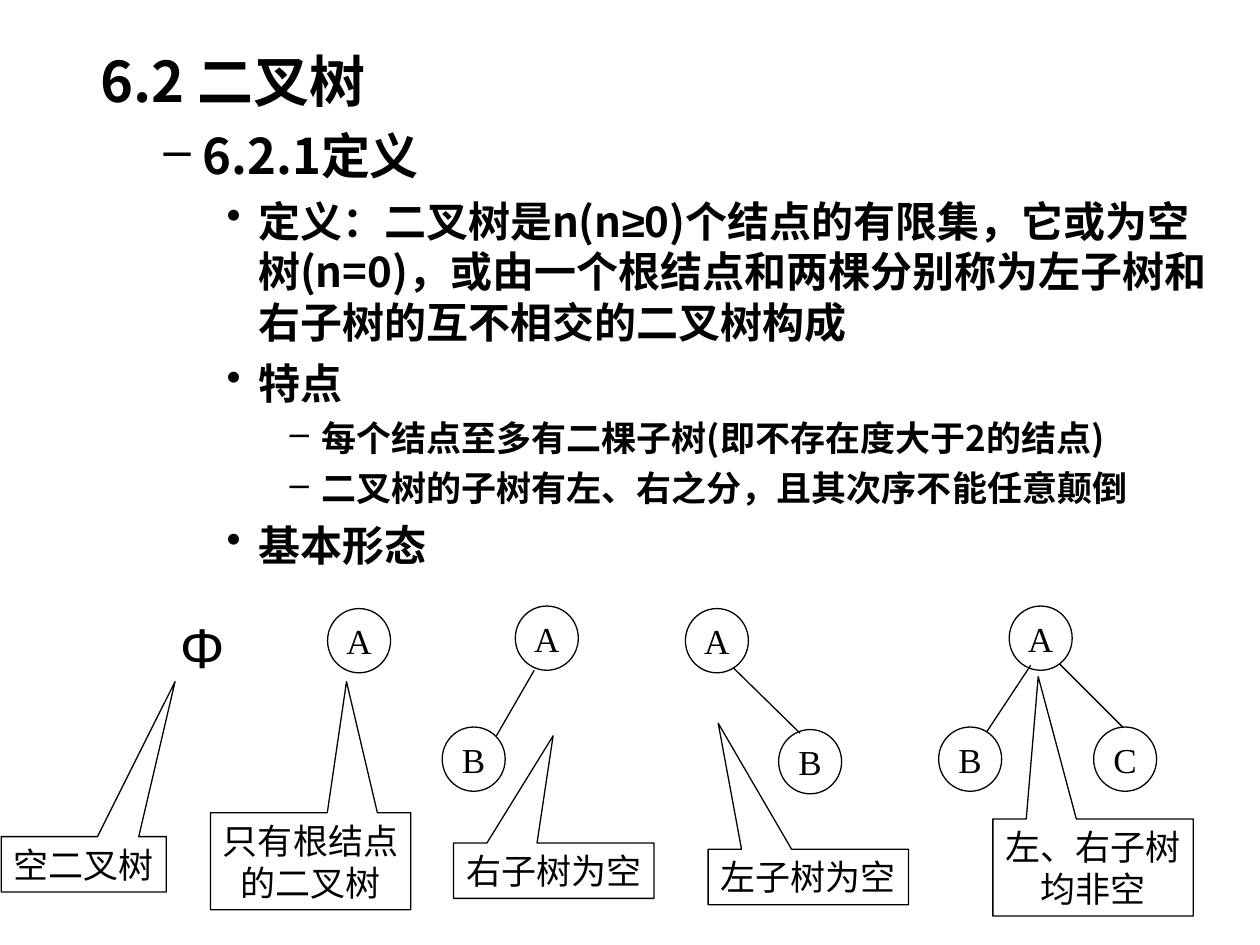
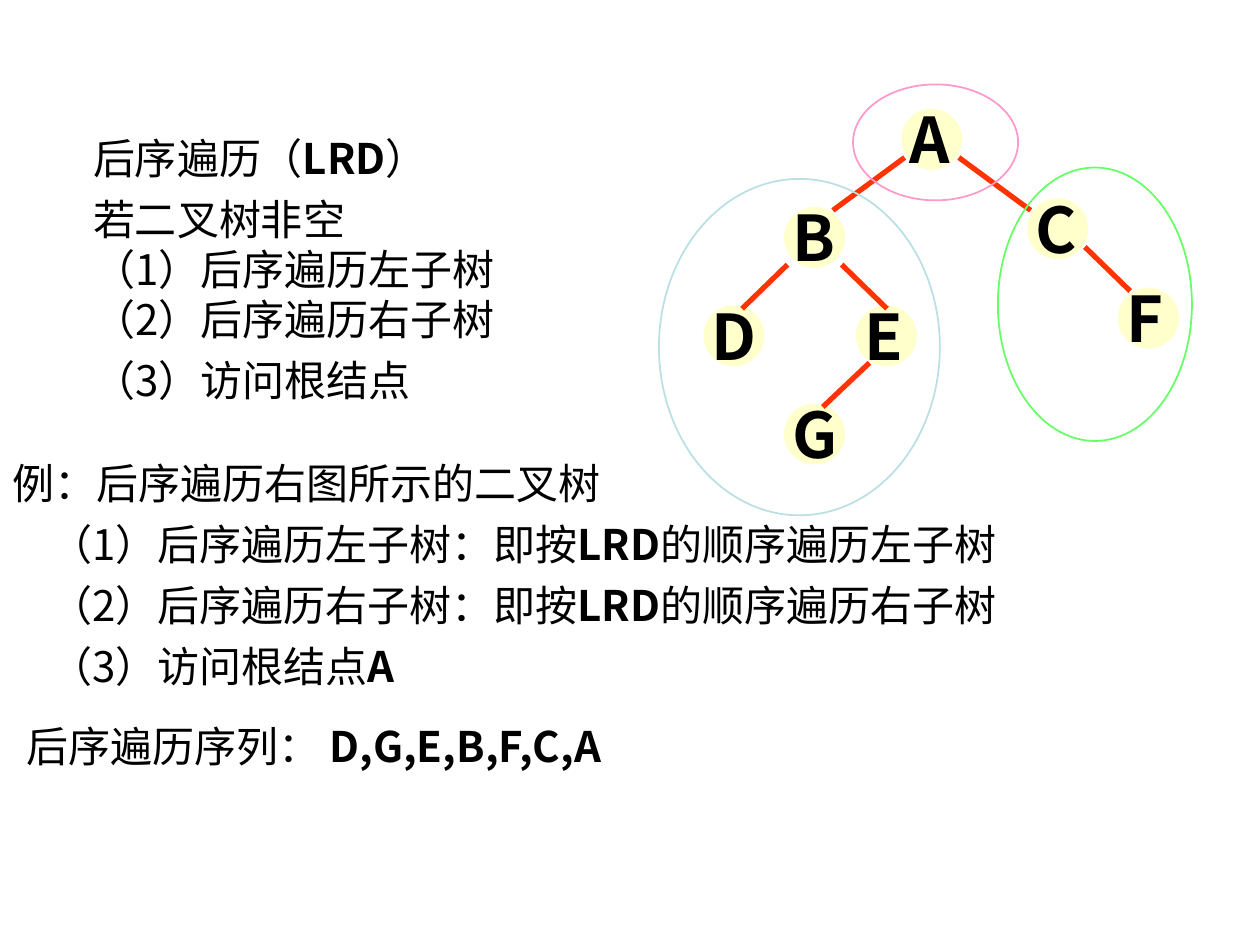
from lxml import etree
from pptx import Presentation
from pptx.dml.color import RGBColor
from pptx.enum.shapes import MSO_CONNECTOR, MSO_SHAPE as Preset
from pptx.enum.text import MSO_ANCHOR as Anchor, PP_ALIGN as Align
from pptx.oxml.ns import qn
from pptx.util import Inches, Pt

BLACK = RGBColor(0x00, 0x00, 0x00)
NODE_YELLOW = RGBColor(0xFF, 0xFF, 0xCC)
BRANCH_RED = RGBColor(0xFF, 0x33, 0x00)
LEFT_BLUE = RGBColor(0xBB, 0xE0, 0xE3)
RIGHT_GREEN = RGBColor(0x66, 0xFF, 0x66)
ROOT_PINK = RGBColor(0xFF, 0x99, 0xCC)

SANS, SERIF, SYMBOL = "Noto Sans CJK SC", "Times New Roman", "Arial"
LINE_PITCH = 1.2  # line height as a share of the text size

deck = Presentation()
deck.slide_width, deck.slide_height = Inches(10), Inches(7.5)
CELL = deck.slide_width / 100  # the slide is a grid of 100 columns and 75 rows


def grid(*cells):
    return [round(cell * CELL) for cell in cells]


def write(box, text, *, size, font=SANS, bold=False, accent_font=None,
          accent_bold=None, align=None, space=0, margin=0, hanging=0, bullet=None):
    """Add a paragraph; the parts between bars take the accent format."""
    frame = box.text_frame
    first = not frame.text
    para = frame.paragraphs[0] if first else frame.add_paragraph()
    properties = para._p.get_or_add_pPr()
    properties.set("marL", str(round(margin * CELL)))
    properties.set("indent", str(round(-hanging * CELL)))
    if bullet:
        etree.SubElement(properties, qn("a:buChar")).set("char", bullet)
    else:
        etree.SubElement(properties, qn("a:buNone"))
    para.alignment = align
    para.space_before = Pt(0 if first else space)
    para.line_spacing = Pt(size * LINE_PITCH)
    for index, part in enumerate(text.split("|")):
        if not part:
            continue
        accented = index % 2 == 1
        span = para.add_run()
        span.text = part
        span.font.size = Pt(size)
        span.font.color.rgb = BLACK
        span.font.bold = accent_bold if accented and accent_bold is not None else bold
        span.font.name = accent_font if accented and accent_font else font
        east_asian = etree.SubElement(span._r.get_or_add_rPr(), qn("a:ea"))
        east_asian.set("typeface", SANS)


pages = [deck.slides.add_slide(deck.slide_layouts[6]) for _ in range(2)]
definition, postorder = pages

# Definition of the binary tree
outline = definition.shapes.add_textbox(*grid(7, 3.2, 90.3, 46.2))
outline.text_frame.word_wrap = True
# level: size, space before, margin, hanging, bullet
LEVELS = [
    (32, 8, 3.8, 3.8, None),
    (28, 7, 8.1, 3.1, "–"),
    (24, 6, 12.5, 2.5, "•"),
    (20, 5, 17.5, 2.5, "–"),
]
for level, text in [
    (0, "6.2 二叉树"),
    (1, "6.2.1定义"),
    (2, "定义：二叉树是n(n|≥|0)个结点的有限集，它或为空树(n=0)，"
        "或由一个根结点和两棵分别称为左子树和右子树的互不相交的二叉树构成"),
    (2, "特点"),
    (3, "每个结点至多有二棵子树(即不存在度大于2的结点)"),
    (3, "二叉树的子树有左、右之分，且其次序不能任意颠倒"),
    (2, "基本形态"),
]:
    size, space, margin, hanging, bullet = LEVELS[level]
    write(outline, text, size=size, bold=True, accent_font=SYMBOL, space=space,
          margin=margin, hanging=hanging, bullet=bullet)

# The five basic forms
empty_set = definition.shapes.add_textbox(*grid(13.3, 48.1, 5.4, 6.4))
empty_set.text_frame.word_wrap = False
empty_set.text_frame.vertical_anchor = Anchor.MIDDLE
write(empty_set, "Φ", size=32, font=SYMBOL, align=Align.CENTER)

form_parts = []
for letter, left, top in [
    ("A", 26, 48.3),
    ("A", 40.9, 48.1), ("B", 35.1, 57.7),
    ("A", 54.4, 48.3), ("B", 61.8, 57.9),
    ("A", 80.1, 48.1), ("B", 74.5, 57.7), ("C", 86.8, 57.7),
]:
    node = definition.shapes.add_shape(Preset.OVAL, *grid(left, top, 5, 5.1))
    form_parts.append((node, [letter]))

for lines, left, top, width, tip_x, tip_y in [
    (["空二叉树"], 0.1, 66.4, 13.1, 13.9, 54.1),
    (["只有根结点", "的二叉树"], 16.7, 64.5, 15.9, 27.5, 54.1),
    (["右子树为空"], 36, 66.9, 15.9, 43.9, 58.4),
    (["左子树为空"], 56.2, 67.4, 15.9, 57, 57.4),
    (["左、右子树", "均非空"], 78.8, 65, 15.9, 82.4, 53.7),
]:
    height = 1.1 + 3.3 * len(lines)
    callout = definition.shapes.add_shape(
        Preset.RECTANGULAR_CALLOUT, *grid(left, top, width, height))
    callout.adjustments[0] = (tip_x - left) / width - 0.5
    callout.adjustments[1] = (tip_y - top) / height - 0.5
    form_parts.append((callout, lines))

for part, lines in form_parts:
    part.shadow.inherit = False
    part.fill.background()
    part.line.color.rgb = BLACK
    part.line.width = Pt(0.75)
    part.text_frame.word_wrap = False
    part.text_frame.vertical_anchor = Anchor.MIDDLE
    for text in lines:
        write(part, text, size=20, font=SERIF, align=Align.CENTER)

# Postorder traversal: lines are (text, space before, margin)
for at, lines in [
    ((6.4, 10, 93.6, 22.7), [
        ("后序遍历（|LRD|）", 0, 0),
        ("若二叉树非空", 6, 0),
        ("（1）后序遍历左子树", 0, 0),
        ("（2）后序遍历右子树", 0, 0),
        ("（3）访问根结点", 6, 0),
    ]),
    ((0, 56.7, 100, 5), [("后序遍历序列： |D,G,E,B,F,C,A|", 0, 1.1)]),
    ((0, 35.8, 100, 19.5), [
        ("例：后序遍历右图所示的二叉树", 0, 0),
        ("（1）后序遍历左子树：即按|LRD|的顺序遍历左子树", 6, 3),
        ("（2）后序遍历右子树：即按|LRD|的顺序遍历右子树", 6, 3),
        ("（3）访问根结点|A|", 6, 3),
    ]),
]:
    steps = postorder.shapes.add_textbox(*grid(*at))
    steps.text_frame.word_wrap = True
    for text, space, margin in lines:
        write(steps, text, size=24, accent_bold=True, space=space, margin=margin)

# Example tree
for letter, left, top in [
    ("A", 71.6, 8.7), ("F", 88.8, 22.9), ("G", 62.3, 32.1), ("E", 68, 24.3),
    ("D", 55.9, 24.3), ("C", 81.6, 15.8), ("B", 62.3, 16.5),
]:
    disc = postorder.shapes.add_shape(Preset.OVAL, *grid(left, top, 4.7, 4.7))
    disc.shadow.inherit = False
    disc.fill.solid()
    disc.fill.fore_color.rgb = disc.line.color.rgb = NODE_YELLOW
    disc.line.width = Pt(1)
    label = postorder.shapes.add_textbox(*grid(left - 1.2, top - 1.2, 8.6, 7))
    label.text_frame.word_wrap = True
    write(label, letter, size=36, bold=True, margin=0.8)

# Branches of the trees on both slides
for page, color, weight, branches in [
    (definition, BLACK, 0.75, [
        (42.4, 53.2, 39.4, 58.4), (58.2, 53, 63.5, 58.2),
        (81.8, 52.8, 78.3, 58.1), (84.1, 52.7, 89.1, 57.7),
    ]),
    (postorder, BRANCH_RED, 3, [
        (71.8, 12.5, 66.1, 16.7), (76.1, 12.5, 81.8, 16.7),
        (66.8, 21, 70.4, 24.5), (69, 28.8, 65.3, 32.3),
        (62.5, 21, 58.9, 24.5), (86.1, 19.6, 89.7, 23.1),
    ]),
]:
    for ends in branches:
        branch = page.shapes.add_connector(MSO_CONNECTOR.STRAIGHT, *grid(*ends))
        branch.line.color.rgb = color
        branch.line.width = Pt(weight)
        etree.SubElement(branch._element.spPr, qn("a:effectLst"))

# Rings around the left subtree, the right subtree and the root
for color, at in [
    (LEFT_BLUE, (52.3, 14.2, 22.3, 26.7)),
    (RIGHT_GREEN, (79.2, 13.3, 15.4, 21.7)),
    (ROOT_PINK, (67.7, 6.7, 13.1, 9.2)),
]:
    ring = postorder.shapes.add_shape(Preset.OVAL, *grid(*at))
    ring.shadow.inherit = False
    ring.fill.background()
    ring.line.color.rgb = color
    ring.line.width = Pt(1)

deck.save("out.pptx")
